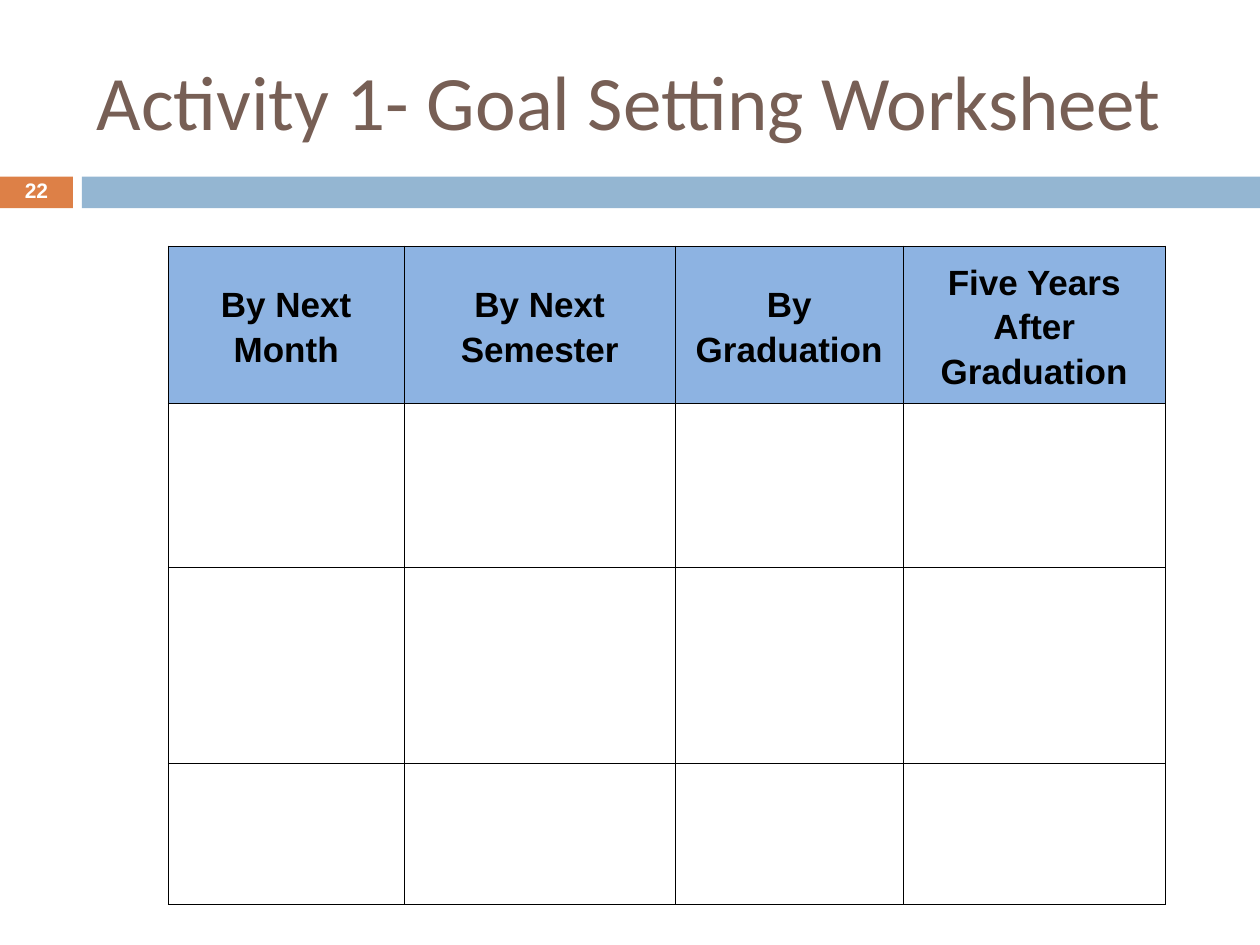
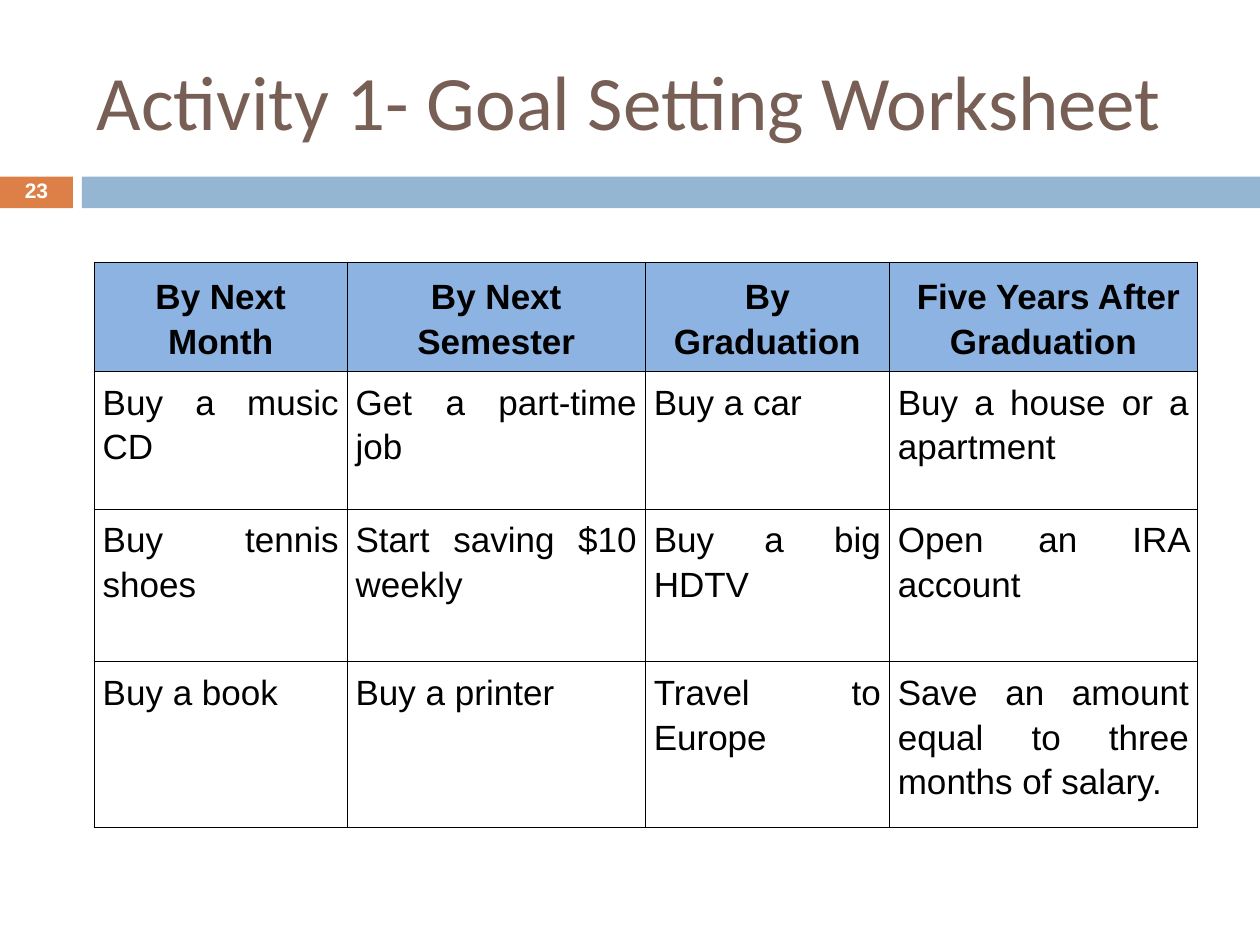
from pptx import Presentation
from pptx.dml.color import RGBColor
from pptx.enum.shapes import MSO_SHAPE
from pptx.enum.text import MSO_ANCHOR, PP_ALIGN
from pptx.oxml import parse_xml
from pptx.oxml.ns import nsdecls
from pptx.util import Cm, Pt

COLORS = {
    "title": "775F55",
    "accent": "DD8047",
    "band": "94B6D2",
    "header": "8DB3E2",
    "ink": "000000",
    "paper": "FFFFFF",
}

# Each text style: font values, paragraph values, colour
STYLES = {
    "title": ({"name": "Calibri", "size": Pt(44)}, {}, "title"),
    "number": ({"name": "Arial", "size": Pt(12), "bold": True},
               {"alignment": PP_ALIGN.CENTER, "line_spacing": 0.8}, "paper"),
    "header": ({"name": "Arial", "size": Pt(20), "bold": True},
               {"alignment": PP_ALIGN.CENTER, "line_spacing": 1.15}, "ink"),
    "body": ({"name": "Arial", "size": Pt(20), "bold": False},
             {"alignment": PP_ALIGN.JUSTIFY, "line_spacing": 1.15}, "ink"),
}

TITLE = "Activity 1- Goal Setting Worksheet"
DEADLINES = ["By Next Month", "By Next Semester", "By Graduation",
             "Five Years After Graduation"]
SAMPLE_GOALS = [
    ["Buy a music CD", "Get a part-time job", "Buy a car",
     "Buy a house or a apartment"],
    ["Buy tennis shoes", "Start saving $10 weekly", "Buy a big HDTV",
     "Open an IRA account"],
    ["Buy a book", "Buy a printer", "Travel to Europe",
     "Save an amount equal to three months of salary."],
]


def apply_values(target, values):
    for name, value in values.items():
        setattr(target, name, value)


class Worksheet:
    """Holds the deck style and the current page."""

    def __init__(self):
        self.deck = Presentation()
        apply_values(self.deck, {"slide_width": Cm(25.4), "slide_height": Cm(19.05)})
        self.page = None

    def color(self, name):
        return RGBColor.from_string(COLORS[name])

    def add_words(self, frame, text, style):
        font_values, para_values, color = STYLES[style]
        para = frame.paragraphs[0]
        apply_values(para, para_values)
        span = para.add_run()
        span.text = text
        apply_values(span.font, font_values)
        span.font.color.rgb = self.color(color)
        return para

    def bar(self, left, width, color):
        box = self.page.shapes.add_shape(
            MSO_SHAPE.RECTANGLE, Cm(left), Cm(3.56), Cm(width), Cm(0.64))
        box.shadow.inherit = False
        box.fill.solid()
        box.fill.fore_color.rgb = self.color(color)
        box.line.fill.background()

    def text(self, left, top, width, height, text, style):
        box = self.page.shapes.add_textbox(Cm(left), Cm(top), Cm(width), Cm(height))
        apply_values(box.text_frame, {"word_wrap": True,
                                      "vertical_anchor": MSO_ANCHOR.MIDDLE})
        self.add_words(box.text_frame, text, style)

    def new_page(self, number):
        self.page = self.deck.slides.add_slide(self.deck.slide_layouts[6])
        self.bar(0, 1.47, "accent")
        self.bar(1.65, 23.75, "band")
        self.text(1.7, 0.64, 22.66, 2.74, TITLE, "title")
        self.text(0, 3.53, 1.47, 0.69, str(number), "number")

    def border(self, cell):
        properties = cell._tc.get_or_add_tcPr()
        for side in ("lnL", "lnR", "lnT", "lnB"):
            properties.append(parse_xml(
                f'<a:{side} {nsdecls("a")} w="5715"><a:solidFill>'
                f'<a:srgbClr val="{COLORS["ink"]}"/></a:solidFill></a:{side}>'))

    def goal_table(self, left, top, widths, heights, goals, side_margin,
                   last_header_indent=0):
        table = self.page.shapes.add_table(
            len(heights), len(widths), Cm(left), Cm(top),
            Cm(sum(widths)), Cm(sum(heights))).table
        apply_values(table, {"first_row": False, "horz_banding": False})
        for column, width in zip(table.columns, widths):
            column.width = Cm(width)
        for row, height in zip(table.rows, heights):
            row.height = Cm(height)

        cell_values = {"margin_left": Cm(side_margin), "margin_right": Cm(side_margin)}
        for row_index, texts in enumerate([DEADLINES] + goals):
            is_header = row_index == 0
            for column_index, text in enumerate(texts):
                cell = table.cell(row_index, column_index)
                apply_values(cell, cell_values)
                self.border(cell)
                cell.fill.solid()
                cell.fill.fore_color.rgb = self.color("header" if is_header else "paper")
                cell.vertical_anchor = MSO_ANCHOR.MIDDLE if is_header else MSO_ANCHOR.TOP
                if text:
                    para = self.add_words(cell.text_frame, text,
                                          "header" if is_header else "body")
                    if is_header and column_index == len(texts) - 1:
                        para._p.get_or_add_pPr().set("indent", str(Cm(last_header_indent)))


def main():
    sheet = Worksheet()

    # Empty worksheet
    sheet.new_page(22)
    sheet.goal_table(3.39, 4.96, [4.76, 5.46, 4.6, 5.28], [2.96, 3.29, 3.97, 2.84],
                     [[""] * len(DEADLINES)] * 3, 0.16)

    # Worksheet filled with sample goals
    sheet.new_page(23)
    sheet.goal_table(1.9, 5.28, [5.1, 6.01, 4.92, 6.21], [2.08, 2.78, 3.07, 3.35],
                     SAMPLE_GOALS, 0.17, last_header_indent=0.2)

    sheet.deck.save("out.pptx")


if __name__ == "__main__":
    main()
